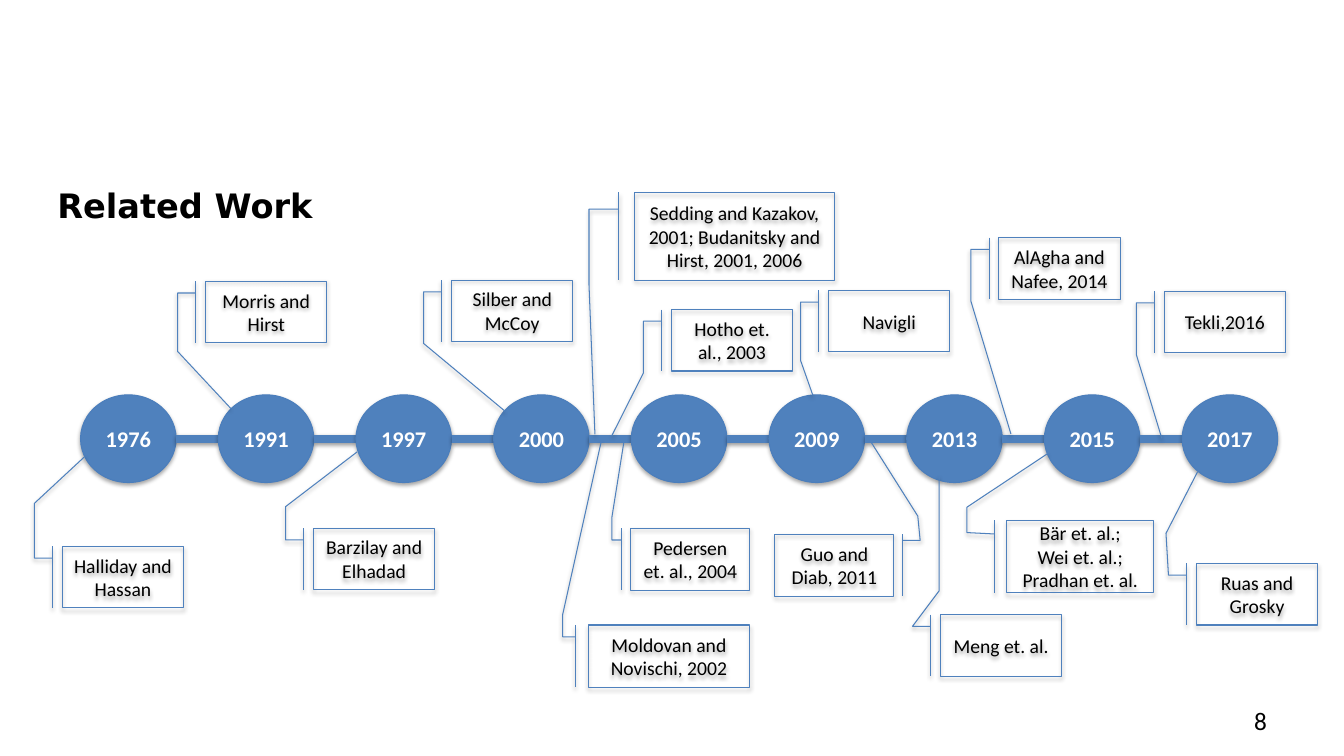
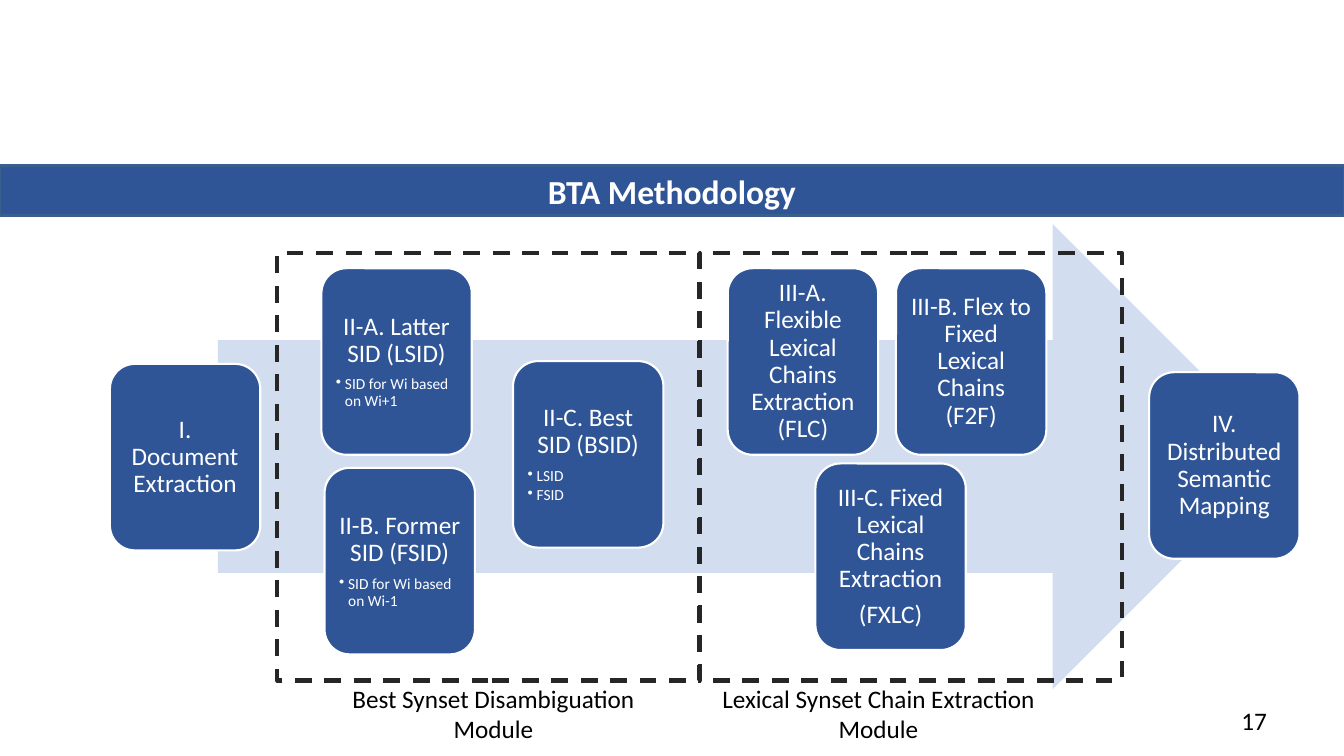
from lxml import etree
from pptx import Presentation
from pptx.dml.color import RGBColor
from pptx.enum.dml import MSO_LINE
from pptx.enum.shapes import MSO_CONNECTOR, MSO_SHAPE
from pptx.enum.text import MSO_ANCHOR, MSO_AUTO_SIZE, PP_ALIGN
from pptx.oxml.ns import qn
from pptx.util import Cm, Pt

LEFT, CENTER, RIGHT = PP_ALIGN.LEFT, PP_ALIGN.CENTER, PP_ALIGN.RIGHT
TOP, MIDDLE = MSO_ANCHOR.TOP, MSO_ANCHOR.MIDDLE
NO_FIT = MSO_AUTO_SIZE.NONE
DASH = MSO_LINE.DASH
STRAIGHT = MSO_CONNECTOR.STRAIGHT
OVAL, RECT = MSO_SHAPE.OVAL, MSO_SHAPE.RECTANGLE
ROUNDED, ARROW = MSO_SHAPE.ROUNDED_RECTANGLE, MSO_SHAPE.RIGHT_ARROW
CALLOUT = MSO_SHAPE.LINE_CALLOUT_3_BORDER_AND_ACCENT_BAR

BLACK = RGBColor(0x00, 0x00, 0x00)
WHITE = RGBColor(0xFF, 0xFF, 0xFF)
BLUE = RGBColor(0x4F, 0x81, 0xBD)
BLUE_EDGE = RGBColor(0x4B, 0x7E, 0xBC)
NAVY = RGBColor(0x2F, 0x55, 0x97)
NAVY_EDGE = RGBColor(0x3A, 0x5F, 0x8C)
PALE = RGBColor(0xD2, 0xDE, 0xEF)
CHARCOAL = RGBColor(0x26, 0x26, 0x26)

BODY = {"name": "Calibri", "size": Pt(18), "bold": False}
HEADING = {**BODY, "size": Pt(24), "bold": True}
YEAR = {**BODY, "size": Pt(16), "bold": True}
NOTE = {**BODY, "size": Pt(14)}
DETAIL = {**BODY, "size": Pt(11)}

YEARS = ["1976", "1991", "1997", "2000", "2005", "2009", "2013", "2015", "2017"]
YEAR_LEFT, YEAR_TOP, YEAR_STEP, YEAR_W, YEAR_H = 2.03, 9.95, 3.47, 2.41, 2.21

NOTE_SIZE = (3.06, 1.55)
ELBOW = (0.19, -0.08, 0.19, -0.23)
SHORT_ELBOW = (0.19, -0.08, 0.19, -0.16)
WORKS = [
    (["Halliday and Hassan"], (1.57, 13.77), NOTE_SIZE, ELBOW, (-0.7, -0.23, -1.47, 0.19)),
    (["Morris and Hirst"], (5.18, 7.09), NOTE_SIZE, ELBOW, (1.14, -0.23, 2.07, 0.21)),
    (["Barzilay and Elhadad"], (7.9, 13.31), NOTE_SIZE, ELBOW, (-0.35, -0.23, -1.24, 0.36)),
    (["Silber and McCoy"], (11.38, 7.06), NOTE_SIZE, ELBOW, (1.03, -0.23, 2.13, 0.44)),
    (["Sedding and Kazakov, 2001; Budanitsky and Hirst, 2001, 2006"],
     (16, 4.85), (5.03, 2.21), ELBOW, (1.05, -0.23, 2.76, -0.2)),
    (["Moldovan and Novischi, 2002"], (14.83, 15.75), (4.06, 1.57), SHORT_ELBOW,
     (-0.17, -0.16, -2.95, 0.08)),
    (["Hotho et. al., 2003"], (16.92, 7.8), NOTE_SIZE, ELBOW, (1.03, -0.23, 2.05, -0.49)),
    (["Pedersen et. al., 2004"], (15.9, 13.31), (3, 1.57), SHORT_ELBOW,
     (-0.17, -0.16, -1.37, -0.06)),
    (["Navigli"], (20.88, 7.32), NOTE_SIZE, ELBOW, (1.14, -0.23, 1.7, -0.13)),
    (["Guo and Diab, 2011"], (19.53, 13.46), (3, 1.57), (0.1, 1.07, 0.1, 1.22),
     (-0.29, 1.2, -1.47, 0.81)),
    (["Meng et. al."], (23.7, 15.49), NOTE_SIZE, ELBOW, (-0.39, -0.01, -2.25, -0.01)),
    (["AlAgha and Nafee, 2014"], (25.17, 5.99), NOTE_SIZE, ELBOW, (1.03, -0.23, 3.19, 0.1)),
    (["Bär et. al.;", "Wei et. al.; Pradhan et. al."], (25.37, 13.11), (3.71, 1.83),
     (0.19, -0.08, 0.17, -0.27), (-0.18, -0.27, -0.92, 0.28)),
    (["Tekli,2016"], (29.34, 7.34), NOTE_SIZE, ELBOW, (1.03, -0.23, 2.39, -0.02)),
    (["Ruas and Grosky"], (30.15, 14.2), NOTE_SIZE, ELBOW, (-0.49, -0.25, -1.49, 0.01)),
]

STEP_W, STEP_H = 3.79, 4.7
STEPS = [
    (2.77, 9.17, ["I. Document Extraction"], []),
    (8.1, 6.76, ["II-A. Latter SID (LSID)"], ["SID for Wi based on Wi+1"]),
    (8.18, 11.79, ["II-B. Former SID (FSID)"], ["SID for Wi based on Wi-1"]),
    (12.93, 9.1, ["II-C. Best SID (BSID)"], ["LSID", "FSID"]),
    (18.34, 6.76, ["III-A. Flexible Lexical Chains Extraction (FLC)"], []),
    (22.58, 6.76, ["III-B. Flex to Fixed Lexical Chains (F2F)"], []),
    (20.55, 11.68, ["III-C. Fixed Lexical Chains Extraction", "(FXLC)"], []),
    (28.96, 9.38, ["IV. Distributed Semantic Mapping"], []),
]
MODULE_TOP, MODULE_W, MODULE_H = 6.38, 10.64, 10.77
MODULES = [
    (6.99, 0, (8.56, 7.75), "Best Synset Disambiguation Module"),
    (17.63, 180, (17.91, 8.46), "Lexical Synset Chain Extraction Module"),
]


def add_text(tf, lines, style, color, align=CENTER, first=True):
    paragraphs = []
    for i, line in enumerate(lines):
        p = tf.paragraphs[0] if first and i == 0 else tf.add_paragraph()
        p.alignment = align
        r = p.add_run()
        r.text = line
        for name, value in style.items():
            setattr(r.font, name, value)
        r.font.color.rgb = color
        paragraphs.append(p)
    return paragraphs


def add_bullet(p):
    pPr = p._p.get_or_add_pPr()
    pPr.set("marL", str(Cm(0.23)))
    pPr.set("indent", str(-Cm(0.23)))
    etree.SubElement(pPr, qn("a:buChar"), char="•")


def paint(sp, fill=None, line=None, weight=0):
    sp.shadow.inherit = False
    if fill is None:
        sp.fill.background()
    else:
        sp.fill.solid()
        sp.fill.fore_color.rgb = fill
    if line is None:
        sp.line.fill.background()
    else:
        sp.line.color.rgb = line
        sp.line.width = Pt(weight)


def add_box(s, kind, left, top, width, height, **look):
    sp = s.shapes.add_shape(kind, Cm(left), Cm(top), Cm(width), Cm(height))
    paint(sp, **look)
    sp.text_frame.vertical_anchor = MIDDLE
    sp.text_frame.word_wrap = True
    return sp


def add_shadow(spPr, distance, opacity):
    effects = spPr.find(qn("a:effectLst"))
    if effects is None:
        effects = etree.SubElement(spPr, qn("a:effectLst"))
    shadow = etree.SubElement(effects, qn("a:outerShdw"), blurRad=str(Pt(3.1)),
                              dist=str(Pt(distance)), dir="5400000", rotWithShape="0")
    color = etree.SubElement(shadow, qn("a:srgbClr"), val=str(BLACK))
    etree.SubElement(color, qn("a:alpha"), val=str(opacity * 1000))


def add_label(s, left, top, width, height, text, align=CENTER, anchor=TOP):
    tf = s.shapes.add_textbox(Cm(left), Cm(top), Cm(width), Cm(height)).text_frame
    tf.word_wrap = True
    tf.vertical_anchor = anchor
    add_text(tf, [text], BODY, BLACK, align)


def add_slide(prs, title, number, place, style, color, align):
    s = prs.slides.add_slide(prs.slide_layouts[5])
    sp = s.shapes.title
    sp.left, sp.top, sp.width, sp.height = (Cm(v) for v in place)
    tf = sp.text_frame
    tf.auto_size = NO_FIT
    tf.vertical_anchor = TOP
    add_text(tf, [title], style, color, align)
    add_label(s, 24.28, 17.65, 7.9, 1.02, number, RIGHT, MIDDLE)
    return s


def build_timeline(prs):
    s = add_slide(prs, "Related Work", "8", (1.19, 4.52, 32.5, 1.27),
                  {**HEADING, "name": "DejaVu Sans"}, BLACK, LEFT)
    axis = Cm(YEAR_TOP + YEAR_H / 2)
    for i, year in enumerate(YEARS):
        left = YEAR_LEFT + i * YEAR_STEP
        if i:
            link = s.shapes.add_connector(
                STRAIGHT, Cm(left), axis, Cm(left - YEAR_STEP + YEAR_W), axis)
            link.line.color.rgb = BLUE
            link.line.width = Pt(6)
            add_shadow(link._element.spPr, 1.6, 38)
        sp = add_box(s, OVAL, left, YEAR_TOP, YEAR_W, YEAR_H,
                     fill=BLUE, line=BLUE_EDGE, weight=0.75)
        add_shadow(sp._element.spPr, 1.8, 35)
        add_text(sp.text_frame, [year], YEAR, WHITE)
    for lines, place, size, elbow, tail in WORKS:
        sp = add_box(s, CALLOUT, *place, *size, line=BLUE, weight=0.75)
        for i, value in enumerate(elbow + tail):
            sp.adjustments[i] = value
        add_shadow(sp._element.spPr, 1.8, 35)
        add_text(sp.text_frame, lines, NOTE, BLACK)


def build_method(prs):
    s = add_slide(prs, "BTA Methodology", "17", (0, 4.17, 33.87, 1.27),
                  HEADING, WHITE, CENTER)
    paint(s.shapes.title, fill=NAVY, line=NAVY_EDGE, weight=2)
    add_box(s, ARROW, 5.49, 5.64, 26.9, 11.73, fill=PALE)
    for left, top, heading, details in STEPS:
        sp = add_box(s, ROUNDED, left, top, STEP_W, STEP_H,
                     fill=NAVY, line=WHITE, weight=1.5)
        tf = sp.text_frame
        for side in ("left", "top", "right", "bottom"):
            setattr(tf, f"margin_{side}", Cm(0.18))
        for p in add_text(tf, heading, BODY, WHITE):
            p.line_spacing = 0.9
            p.space_after = Pt(6.3)
        for p in add_text(tf, details, DETAIL, WHITE, LEFT, first=False):
            add_bullet(p)
            p.line_spacing = 0.9
            p.space_after = Pt(1.65)
    for left, turn, (label_left, label_w), label in MODULES:
        sp = add_box(s, RECT, left, MODULE_TOP, MODULE_W, MODULE_H,
                     line=CHARCOAL, weight=3)
        sp.line.dash_style = DASH
        sp.rotation = turn
        add_label(s, label_left, 17.09, label_w, 1.8, label)


def main():
    prs = Presentation()
    prs.slide_width, prs.slide_height = Cm(33.87), Cm(19.05)
    build_timeline(prs)
    build_method(prs)
    prs.save("out.pptx")


if __name__ == "__main__":
    main()
